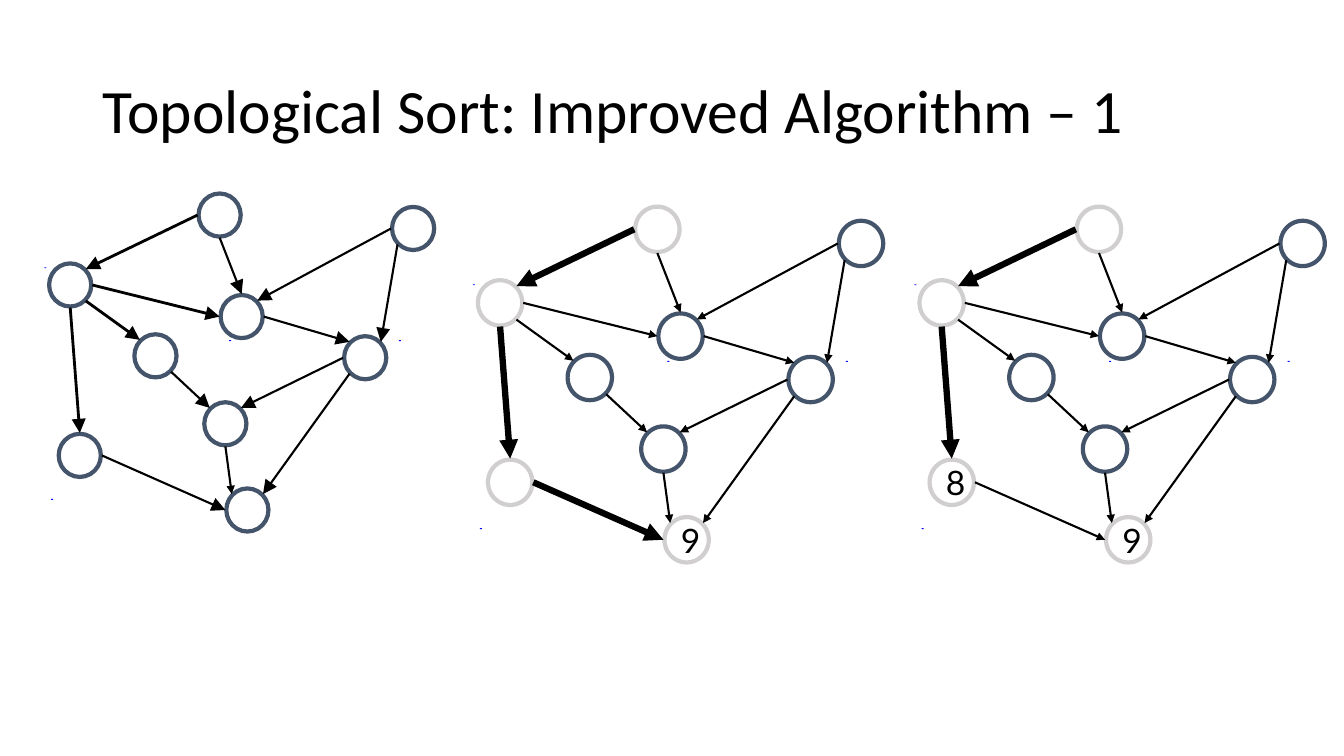
from math import cos, radians, sin

from lxml import etree
from pptx import Presentation
from pptx.dml.color import RGBColor
from pptx.enum.shapes import MSO_CONNECTOR, MSO_SHAPE
from pptx.enum.text import MSO_ANCHOR, PP_ALIGN
from pptx.oxml.ns import qn
from pptx.util import Inches, Pt

ELLIPSE, RECT = MSO_SHAPE.OVAL, MSO_SHAPE.RECTANGLE
STRAIGHT = MSO_CONNECTOR.STRAIGHT
LEFT, MIDDLE = PP_ALIGN.LEFT, MSO_ANCHOR.MIDDLE
COLORS = {"text": "000000", "edge": "000000", "fill": "FFFFFF",
          "open": "44546A", "visited": "D0CECE", "speck": "0000FF"}

# Graph layout at full scale, relative to the graph's origin
NODE_W, NODE_H, GAP = 0.44, 0.45, 0.01
NODES = {"A": (1.61, 0), "B": (1.67, 2.18), "C": (1.84, 1.06),
         "D": (0.15, 2.51), "E": (3.13, 1.49), "F": (0.94, 1.47),
         "G": (3.63, 0.14), "H": (0.05, 0.73), "I": (1.9, 3.08)}
SPECKS = [(0, 0.77), (1.93, 1.53), (3.7, 1.53), (0.07, 3.19)]

# Edge: (side it leaves, side it enters), sides as compass points
ANGLES = {"E": 0, "SE": 45, "S": 90, "SW": 135,
          "W": 180, "N": 270, "NE": 315, "NW": 225}
EDGES = {"AH": ("W", "NE"), "AC": ("S", "N"), "GC": ("W", "NE"),
         "EB": ("W", "NE"), "EI": ("SW", "NE"), "DI": ("E", "W"),
         "BI": ("S", "NW"), "FB": ("SE", "NW"), "HF": ("SE", "NW"),
         "HD": ("S", "N"), "HC": ("E", "W"), "CE": ("E", "NW"),
         "GE": ("SW", "NE")}

# The three stages of the algorithm
GRAPHS = [
    {"origin": (0.44, 1.92), "scale": 0.95, "visited": "", "labels": {},
     "heavy": ("AH", "HF", "HD", "HC"), "weight": 2, "head": "lg"},
    {"origin": (4.69, 2.05), "scale": 1, "visited": "ADHI",
     "labels": {"I": "9"},
     "heavy": ("AH", "HD", "DI"), "weight": 4.5, "head": "med"},
    {"origin": (9.07, 2.05), "scale": 1, "visited": "ADHI",
     "labels": {"D": "8", "I": "9"},
     "heavy": ("AH", "HD"), "weight": 4.5, "head": "med"},
]


def rgb(name):
    return RGBColor.from_string(COLORS[name])


def add_run(p, text, size, font):
    r = p.add_run()
    r.text = text
    r.font.size, r.font.name = Pt(size), font
    r.font.color.rgb = rgb("text")


def add_title(s, text):
    sp = s.shapes.title
    sp.left, sp.top = Inches(0.92), Inches(0.4)
    sp.width, sp.height = Inches(11.5), Inches(1.45)
    tf = sp.text_frame
    tf.vertical_anchor = MIDDLE
    p = tf.paragraphs[0]
    p.alignment, p.line_spacing = LEFT, 0.9
    add_run(p, text, 44, "Calibri")


def add_filled(group, kind, box, fill):
    sp = group.shapes.add_shape(kind, *(Inches(v) for v in box))
    sp.shadow.inherit = False
    sp.fill.solid()
    sp.fill.fore_color.rgb = rgb(fill)
    return sp


def add_speck(group, x, y):
    sp = add_filled(group, RECT, (x, y, 0.02, 0.01), "speck")
    sp.line.fill.background()


def add_node(group, box, outline, label):
    sp = add_filled(group, ELLIPSE, box, "fill")
    sp.line.color.rgb = rgb(outline)
    sp.line.width = Pt(3)
    if label:
        tf = sp.text_frame
        tf.word_wrap, tf.vertical_anchor = False, MIDDLE
        p = tf.paragraphs[0]
        p.alignment = LEFT
        add_run(p, label, 24, "Lato")


def add_arrow(group, start, end, weight, head):
    line = group.shapes.add_connector(
        STRAIGHT, *(Inches(v) for v in (*start, *end)))
    line.line.color.rgb = rgb("edge")
    line.line.width = Pt(weight)
    etree.SubElement(line.line._get_or_add_ln(), qn("a:tailEnd"),
                     type="triangle", w=head, len=head)
    etree.SubElement(line._element.spPr, qn("a:effectLst"))


def rim_point(box, side):
    """Point just outside the ellipse in box, on the given side."""
    x, y, w, h = box
    angle = radians(ANGLES[side])
    return (x + w / 2 + (w / 2 + GAP) * cos(angle),
            y + h / 2 + (h / 2 + GAP) * sin(angle))


def add_graph(s, graph):
    group = s.shapes.add_group_shape()
    (left, top), scale = graph["origin"], graph["scale"]

    def place(x, y):
        return left + x * scale, top + y * scale

    for speck in SPECKS:
        add_speck(group, *place(*speck))

    boxes = {name: (*place(*at), NODE_W * scale, NODE_H * scale)
             for name, at in NODES.items()}
    for name, box in boxes.items():
        outline = "visited" if name in graph["visited"] else "open"
        add_node(group, box, outline, graph["labels"].get(name))

    for edge, (leave, enter) in EDGES.items():
        weight = graph["weight"] if edge in graph["heavy"] else 1.5
        head = "med" if edge == "BI" else graph["head"]
        add_arrow(group, rim_point(boxes[edge[0]], leave),
                  rim_point(boxes[edge[1]], enter), weight, head)


def main():
    prs = Presentation()
    prs.slide_width, prs.slide_height = Inches(13.33), Inches(7.5)
    s = prs.slides.add_slide(prs.slide_layouts[5])
    add_title(s, "Topological Sort: Improved Algorithm – 1")
    for graph in GRAPHS:
        add_graph(s, graph)
    prs.save("out.pptx")


main()
